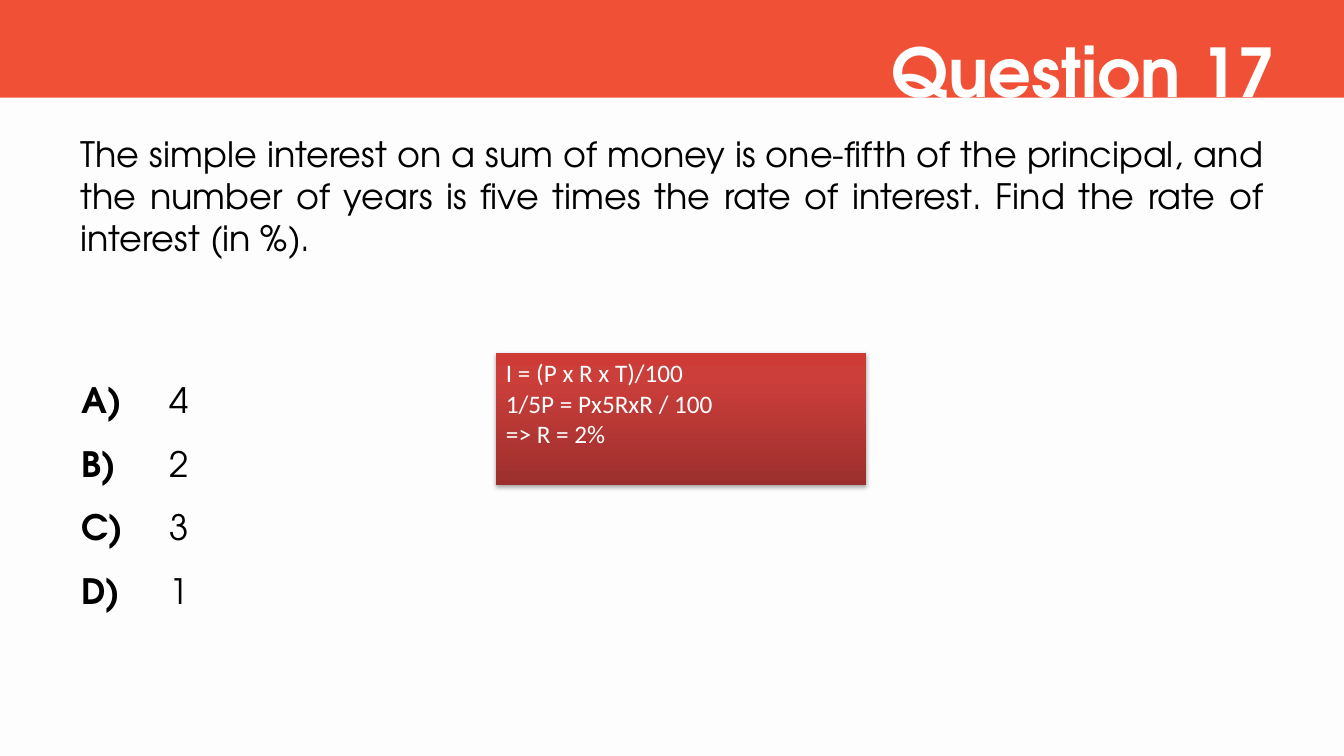
from lxml import etree
from pptx import Presentation
from pptx.dml.color import RGBColor
from pptx.enum.shapes import MSO_SHAPE as SHAPE
from pptx.enum.text import MSO_ANCHOR as ANCHOR, MSO_AUTO_SIZE as AUTO, PP_ALIGN as ALIGN
from pptx.oxml.ns import qn
from pptx.util import Pt

EMU_PER_PX = 9144  # 100 px to the inch


def px(*lengths):
    return [n * EMU_PER_PX for n in lengths]


def rgb(color):
    return RGBColor.from_string(color)


def sub(parent, tag, **attrs):
    return etree.SubElement(parent, qn(tag), {k: str(v) for k, v in attrs.items()})


class QuizSlide:
    font, size, ink, paper, accent = "TeX Gyre Adventor", 25, "000000", "FDFDFD", "F05136"

    def __init__(self, prs):
        self.s = prs.slides.add_slide(prs.slide_layouts[5])
        fill = self.s.background.fill
        fill.solid()
        fill.fore_color.rgb = rgb(self.paper)

    def set_text(self, sp, text, color=None, align=ALIGN.LEFT, spacing=1.0, **font):
        tf = sp.text_frame
        frame = dict(word_wrap=True, auto_size=AUTO.SHAPE_TO_FIT_TEXT, vertical_anchor=ANCHOR.TOP)
        for name, value in frame.items():
            setattr(tf, name, value)
        p = tf.paragraphs[0]
        p.text, p.alignment, p.line_spacing = text, align, spacing
        style = dict(name=self.font, size=Pt(self.size), bold=False) | font
        for r in p.runs:
            for name, value in style.items():
                setattr(r.font, name, value)
            r.font.color.rgb = rgb(color or self.ink)

    def text(self, box, text, **style):
        self.set_text(self.s.shapes.add_textbox(*px(*box)), text, **style)

    def title(self, box, text, **style):
        sp = self.s.shapes.title
        sp.left, sp.top, sp.width, sp.height = px(*box)
        self.set_text(sp, text, **style)

    def rect(self, box):
        sp = self.s.shapes.add_shape(SHAPE.RECTANGLE, *px(*box))
        sp.shadow.inherit = False
        sp.line.fill.background()
        return sp

    def band(self, box):
        sp = self.rect(box)
        sp.fill.solid()
        sp.fill.fore_color.rgb = rgb(self.accent)
        # Keep the band behind the title
        self.s.shapes.title.element.addprevious(sp.element)

    def solution(self, box, text, stops, **style):
        sp = self.rect(box)
        props = sp.element.spPr
        # Gradient from bottom to top
        grad = etree.Element(qn("a:gradFill"), rotWithShape="1")
        stop_list = sub(grad, "a:gsLst")
        for pos, color in stops:
            sub(sub(stop_list, "a:gs", pos=pos * 1000), "a:srgbClr", val=color)
        sub(grad, "a:lin", ang=270 * 60000, scaled=0)
        props.find(qn("a:prstGeom")).addnext(grad)
        # Soft shadow below
        shadow = sub(props.find(qn("a:effectLst")), "a:outerShdw", blurRad=40000, dist=23000,
                     dir=90 * 60000, rotWithShape=0)
        sub(sub(shadow, "a:srgbClr", val="000000"), "a:alpha", val=35000)
        self.set_text(sp, text, **style)


def main():
    prs = Presentation()
    prs.slide_width, prs.slide_height = px(1333, 750)
    quiz = QuizSlide(prs)

    # Question
    quiz.text((70, 127, 1193, 136),
              "The simple interest on a sum of money is one-fifth of the principal, and the number "
              "of years is five times the rate of interest. Find the rate of interest (in %).",
              align=ALIGN.JUSTIFY)

    # Answer options
    for i, (letter, value) in enumerate(zip("ABCD", "4231")):
        top = 350 + 63 * i
        quiz.text((71, top, 76, 68), f"{letter})", spacing=1.5, bold=True)
        quiz.text((158, top, 1104, 68), value, spacing=1.5)

    # Header
    quiz.band((0, 0, 1333, 97))
    quiz.title((425, 25, 850, 91), "Question 17", color="FFFFFF", align=ALIGN.RIGHT,
               size=Pt(48), bold=True)

    # Worked solution
    quiz.solution((492, 350, 367, 131), "I = (P x R x T)/100\n1/5P = Px5RxR / 100\n=> R = 2%",
                  [(0, "9C2F2D"), (80, "CB3E3A"), (100, "CE3B37")],
                  color="FFFFFF", name="Calibri", size=Pt(18))

    prs.save("out.pptx")


if __name__ == "__main__":
    main()
